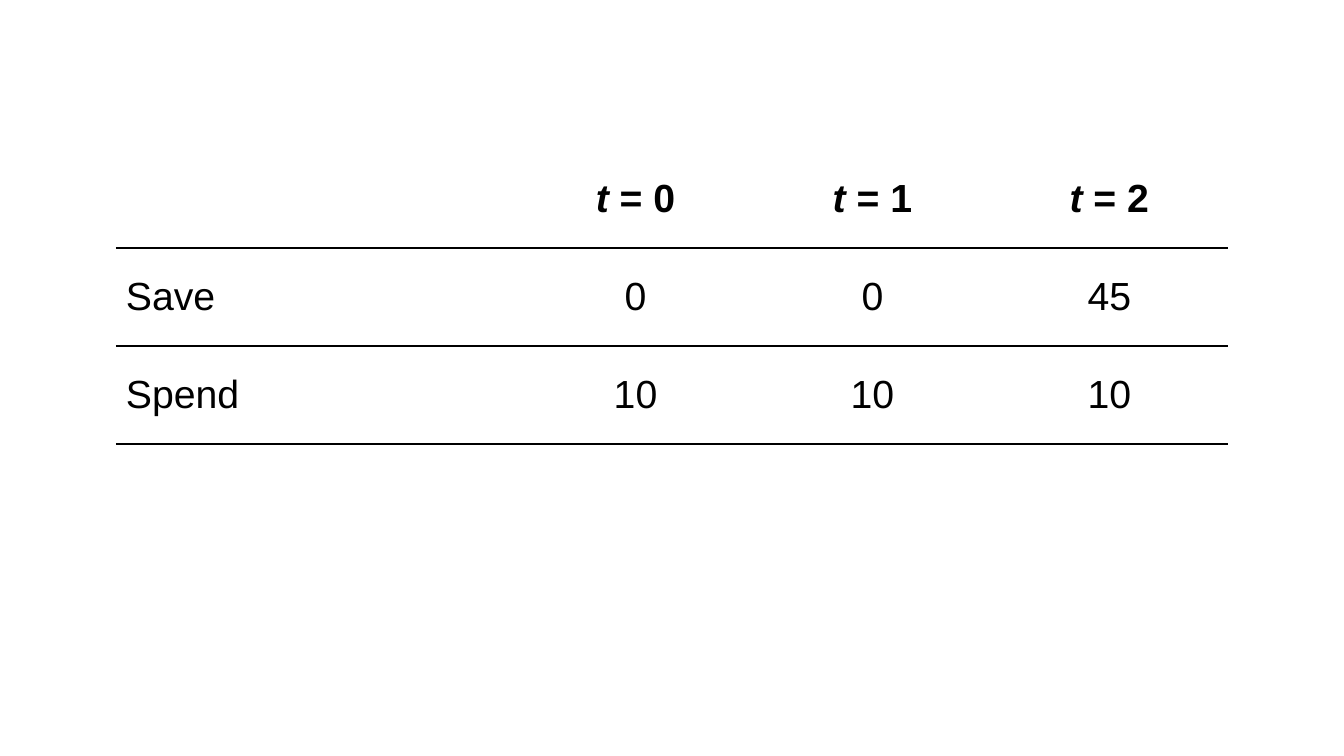
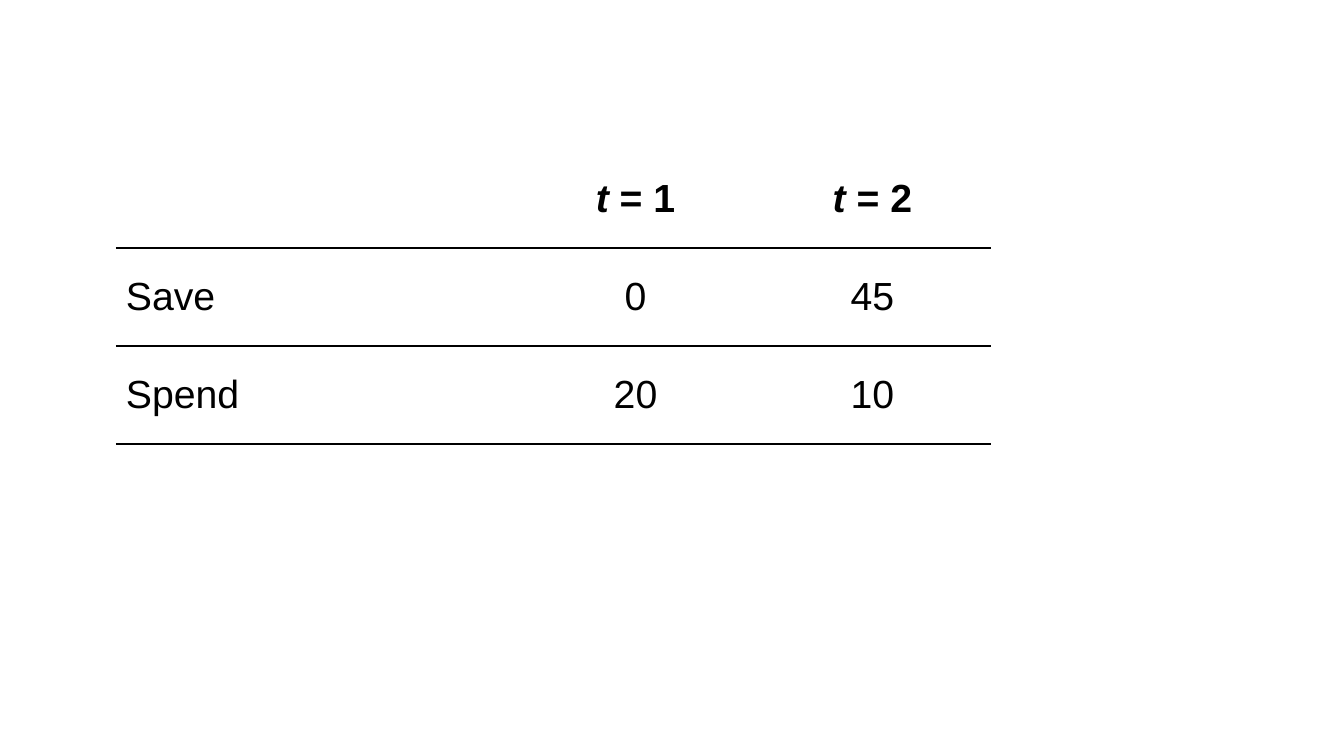
from lxml import etree
from pptx import Presentation
from pptx.dml.color import RGBColor
from pptx.enum.text import MSO_ANCHOR as Anchor, PP_ALIGN as Align
from pptx.oxml.ns import qn
from pptx.util import Cm, Pt

BLACK = RGBColor(0x00, 0x00, 0x00)
WHITE = RGBColor(0xFF, 0xFF, 0xFF)
PLAIN_TABLE_STYLE = "{2D5ABB26-0587-4C30-8999-92F81FD0307C}"


class Deck:
    """Holds the shared style and the current slide."""

    font_name = "Arial"
    font_size = Pt(28)
    rule_width = Pt(1)
    left, top = Cm(2.92), Cm(3.78)
    label_width, period_width = Cm(10.11), Cm(5.97)
    row_height = Cm(2.47)

    def __init__(self):
        self.prs = Presentation()
        self.prs.slide_width, self.prs.slide_height = Cm(33.87), Cm(19.05)
        self.slide = None

    def add_slide(self):
        self.slide = self.prs.slides.add_slide(self.prs.slide_layouts[6])
        background = self.slide.background.fill
        background.solid()
        background.fore_color.rgb = WHITE

    def add_run(self, paragraph, text, bold=False, italic=False):
        run = paragraph.add_run()
        run.text = text
        font = run.font
        font.name, font.size = self.font_name, self.font_size
        font.bold, font.italic = bold, italic
        font.color.rgb = BLACK

    def add_rule(self, cell):
        """Draw the line under a cell."""
        properties = cell._tc.get_or_add_tcPr()
        rule = etree.SubElement(properties, qn("a:lnB"), w=str(self.rule_width))
        fill = etree.SubElement(rule, qn("a:solidFill"))
        etree.SubElement(fill, qn("a:srgbClr"), val=str(BLACK))

    def add_payoff_table(self, periods, payoffs):
        """Add one column per period and one row per choice."""
        width = self.label_width + len(periods) * self.period_width
        row_count = len(payoffs) + 1
        table = self.slide.shapes.add_table(
            row_count, len(periods) + 1, self.left, self.top,
            width, row_count * self.row_height).table
        table._tbl.tblPr.find(qn("a:tableStyleId")).text = PLAIN_TABLE_STYLE
        table.horz_banding = False

        # Grid
        for row in table.rows:
            row.height = self.row_height
        for index, column in enumerate(table.columns):
            column.width = self.period_width if index else self.label_width
        for cell in table.iter_cells():
            self.add_rule(cell)
            cell.fill.background()
            cell.vertical_anchor = Anchor.MIDDLE

        # Period headings
        for column, period in enumerate(periods, start=1):
            heading = table.cell(0, column).text_frame.paragraphs[0]
            heading.alignment = Align.CENTER
            self.add_run(heading, "t", bold=True, italic=True)
            self.add_run(heading, f" = {period}", bold=True)

        # Choices and their payoffs
        for row, (choice, amounts) in enumerate(payoffs.items(), start=1):
            for column, entry in enumerate([choice, *amounts]):
                paragraph = table.cell(row, column).text_frame.paragraphs[0]
                paragraph.alignment = Align.CENTER if column else Align.LEFT
                self.add_run(paragraph, str(entry))


def main():
    deck = Deck()

    # Slide 1: three periods
    deck.add_slide()
    deck.add_payoff_table([0, 1, 2], {"Save": [0, 0, 45], "Spend": [10, 10, 10]})

    # Slide 2: the last two periods
    deck.add_slide()
    deck.add_payoff_table([1, 2], {"Save": [0, 45], "Spend": [20, 10]})

    deck.prs.save("out.pptx")


if __name__ == "__main__":
    main()
